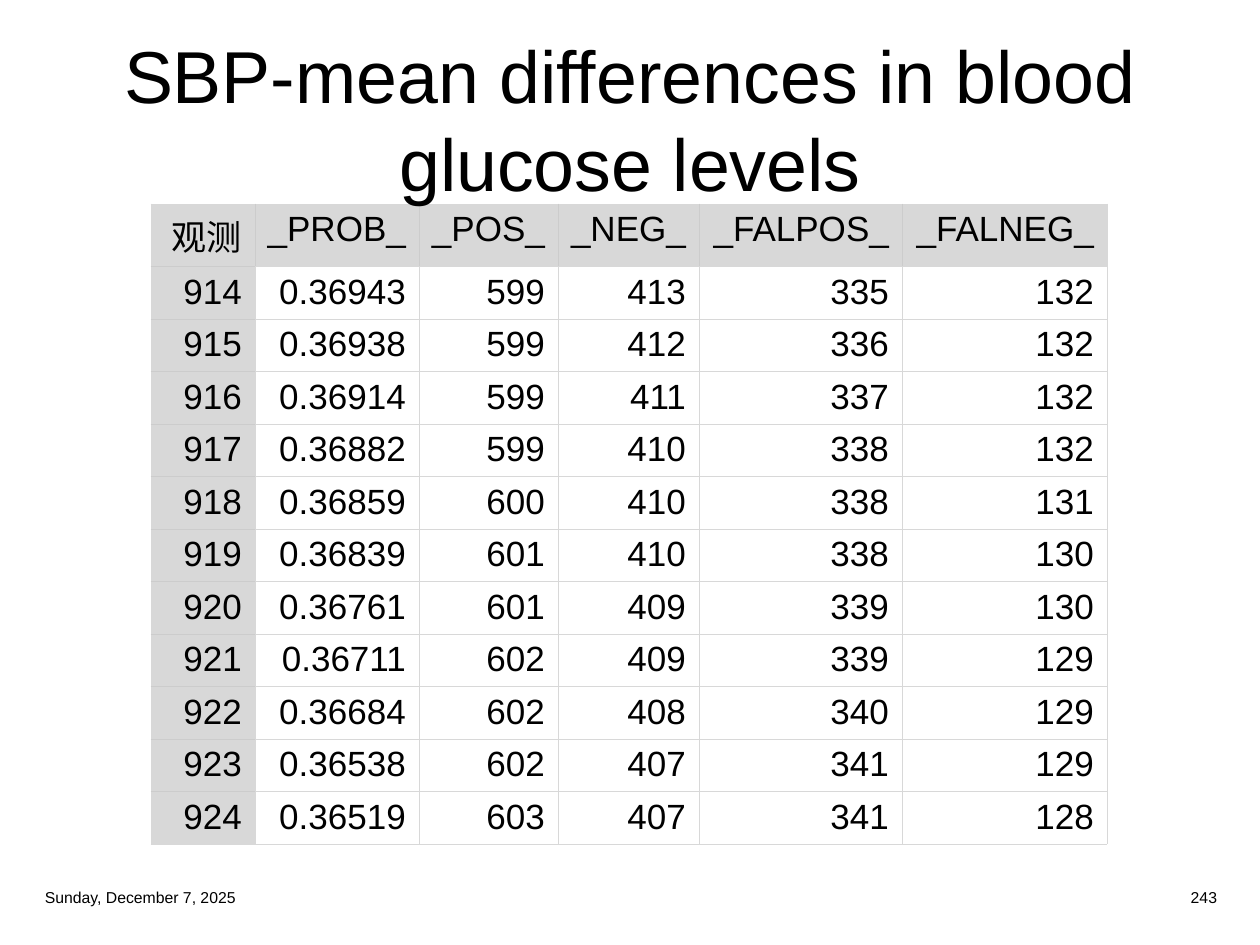
from dataclasses import dataclass

from lxml.etree import SubElement, Element
from pptx import Presentation
from pptx.dml.color import RGBColor as Color
from pptx.enum.text import MSO_ANCHOR as Anchor, PP_ALIGN as Align
from pptx.oxml.ns import qn
from pptx.util import Emu, Pt

PX_PER_INCH = 126


@dataclass(frozen=True)
class Theme:
    font: str = "Arial"
    ink: str = "000000"
    shade: str = "D8D8D8"
    grid: str = "D8D8D8"
    shade_grid: str = "CCCCCC"
    grid_width: float = 0.5
    title_size: int = 42
    title_leading: float = 50.3
    table_size: int = 20
    footer_size: int = 9


@dataclass(frozen=True)
class Area:
    left: int
    top: int
    width: int
    height: int


@dataclass(frozen=True)
class Label:
    text: str
    area: Area
    size: int
    align: Align
    leading: float | None = None
    inset_top: int = 6
    inset_bottom: int = 6


THEME = Theme()
LABELS = [
    Label("SBP-mean differences in blood\nglucose levels", Area(32, 32, 1196, 165),
          THEME.title_size, Align.CENTER, THEME.title_leading, 8, 0),
    Label("Sunday, December 7, 2025", Area(32, 881, 300, 33), THEME.footer_size, Align.LEFT),
    Label("243", Area(930, 881, 300, 33), THEME.footer_size, Align.RIGHT),
]
TABLE_AREA = Area(151, 204, 956, 630)
COLUMN_WIDTHS = [104, 164, 139, 141, 203, 205]
ROWS = [
    ("观测", "_PROB_", "_POS_", "_NEG_", "_FALPOS_", "_FALNEG_"),
    ("914", "0.36943", "599", "413", "335", "132"),
    ("915", "0.36938", "599", "412", "336", "132"),
    ("916", "0.36914", "599", "411", "337", "132"),
    ("917", "0.36882", "599", "410", "338", "132"),
    ("918", "0.36859", "600", "410", "338", "131"),
    ("919", "0.36839", "601", "410", "338", "130"),
    ("920", "0.36761", "601", "409", "339", "130"),
    ("921", "0.36711", "602", "409", "339", "129"),
    ("922", "0.36684", "602", "408", "340", "129"),
    ("923", "0.36538", "602", "407", "341", "129"),
    ("924", "0.36519", "603", "407", "341", "128"),
]


def px(length: int) -> Emu:
    return Emu(length * 914400 // PX_PER_INCH)


def place(area: Area) -> tuple[Emu, Emu, Emu, Emu]:
    return px(area.left), px(area.top), px(area.width), px(area.height)


def write(frame, text: str, *, size: int, align: Align, leading: float | None = None) -> None:
    para = frame.paragraphs[0]
    para.text = text
    para.alignment = align
    if leading:
        para.line_spacing = Pt(leading)
    for span in para.runs:
        span.font.name = THEME.font
        span.font.size = Pt(size)
        span.font.color.rgb = Color.from_string(THEME.ink)


def draw_label(page, label: Label) -> None:
    frame = page.shapes.add_textbox(*place(label.area)).text_frame
    frame.word_wrap = True
    frame.vertical_anchor = Anchor.MIDDLE
    frame.margin_left = frame.margin_right = px(13)
    frame.margin_top = px(label.inset_top)
    frame.margin_bottom = px(label.inset_bottom)
    write(frame, label.text, size=label.size, align=label.align, leading=label.leading)


def draw_borders(cell, colors: dict[str, str]) -> None:
    properties = cell._tc.get_or_add_tcPr()
    for index, (side, color) in enumerate(colors.items()):
        line = Element(qn(f"a:ln{side}"), w=str(Pt(THEME.grid_width)))
        fill = SubElement(line, qn("a:solidFill"))
        SubElement(fill, qn("a:srgbClr"), val=color)
        properties.insert(index, line)


def draw_cell(cell, text: str, row: int, column: int) -> None:
    shaded = row == 0 or column == 0
    cell.margin_left, cell.margin_right = px(10), px(13)
    cell.margin_top = cell.margin_bottom = px(6)
    write(cell.text_frame, text, size=THEME.table_size, align=Align.RIGHT)
    if shaded:
        cell.fill.solid()
        cell.fill.fore_color.rgb = Color.from_string(THEME.shade)
    else:
        cell.fill.background()
    outer = {
        "L": column == 0,
        "R": column == len(COLUMN_WIDTHS) - 1,
        "T": row == 0,
        "B": row == len(ROWS) - 1,
    }
    draw_borders(cell, {
        side: THEME.shade_grid if shaded and not at_edge else THEME.grid
        for side, at_edge in outer.items()
    })


def draw_table(page) -> None:
    table = page.shapes.add_table(len(ROWS), len(COLUMN_WIDTHS), *place(TABLE_AREA)).table
    table.first_row = table.horz_banding = False
    for column, width in zip(table.columns, COLUMN_WIDTHS):
        column.width = px(width)
    for row, values in enumerate(ROWS):
        for column, text in enumerate(values):
            draw_cell(table.cell(row, column), text, row, column)


def main() -> None:
    deck = Presentation()
    deck.slide_width, deck.slide_height = px(1260), px(945)
    page = deck.slides.add_slide(deck.slide_layouts[6])
    draw_table(page)
    for label in LABELS:
        draw_label(page, label)
    deck.save("out.pptx")


if __name__ == "__main__":
    main()
